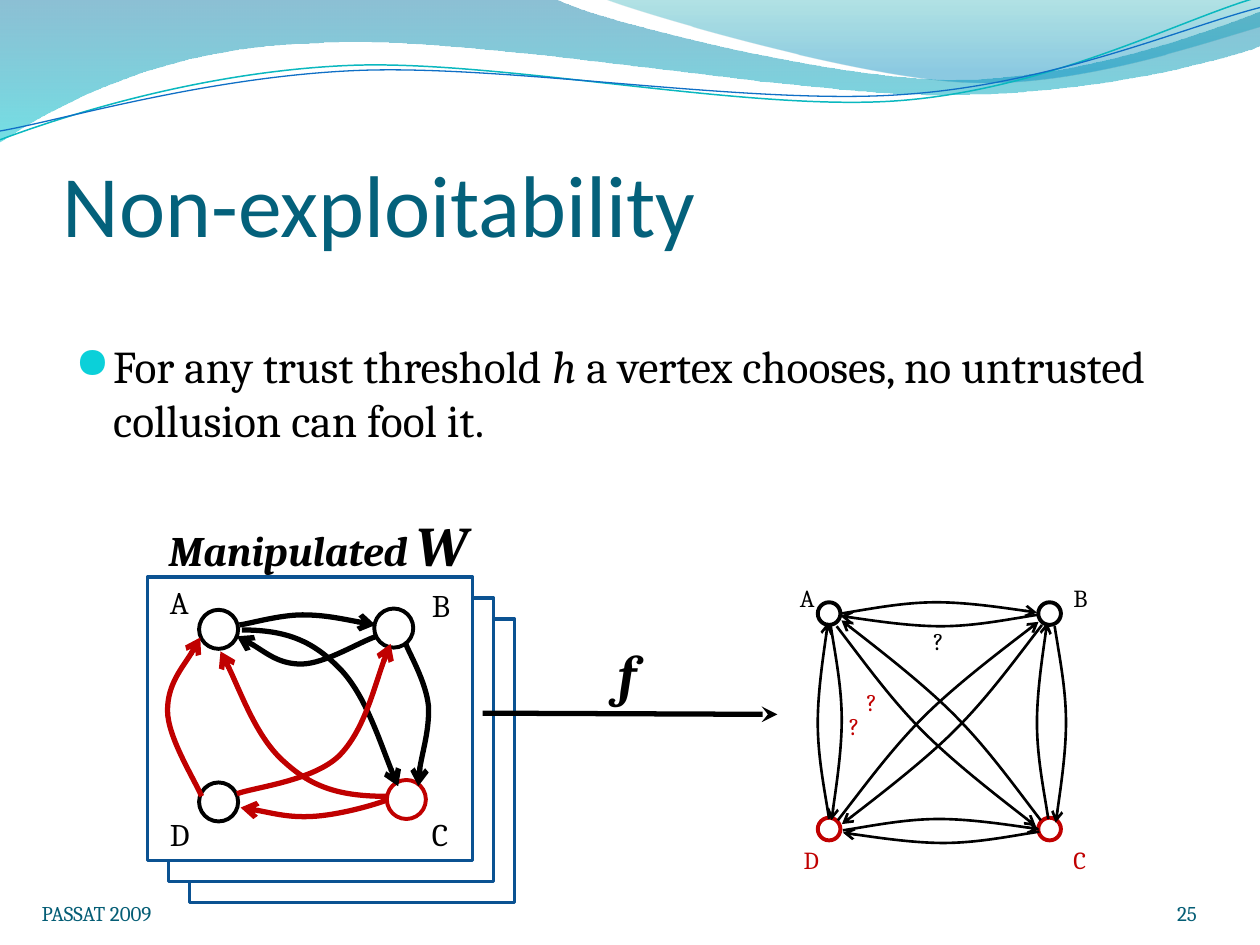
"""Build the slide on non-exploitability with its two trust graphs."""
from math import cos, radians, sin

from lxml.etree import SubElement
from pptx import Presentation
from pptx.dml.color import RGBColor
from pptx.enum.shapes import MSO_CONNECTOR, MSO_SHAPE
from pptx.enum.text import MSO_ANCHOR, PP_ALIGN
from pptx.oxml.ns import qn
from pptx.util import Inches, Pt

BLACK = RGBColor(0x00, 0x00, 0x00)
WHITE = RGBColor(0xFF, 0xFF, 0xFF)
RED = RGBColor(0xC0, 0x00, 0x00)
BLUE = RGBColor(0x0B, 0x52, 0x92)
TITLE = RGBColor(0x04, 0x61, 0x7B)
FOOT = RGBColor(0x04, 0x5D, 0x75)
BULLET = "0BD0D9"

WAVES = [
    ([(-0.01, -0.01), (4.4, -0.01), (4.76, 0.17), (6.64, 0.63), (7.58, 0.63),
      (8.53, 0.63), (9.58, 0.26), (10, 0.09), (10.01, 0.36), (9.83, 0.44),
      (8.7, 0.76), (7.46, 0.75), (6.22, 0.75), (3.82, 0.28), (2.57, 0.34),
      (1.29, 0.36), (0.46, 0.83), (-0.01, 1.13)], "LCCLCCC",
     [(0, RGBColor(0x00, 0x74, 0xA1), 45), (1, RGBColor(0x00, 0xC6, 0xCF), 55)]),
    ([(4.79, -0.01), (5.09, 0.11), (6.82, 0.62), (7.69, 0.65), (8.56, 0.69),
      (9.61, 0.32), (10, 0.21), (10, 0)], "CCL",
     [(0, RGBColor(0x00, 0xA1, 0xA9), 30), (0.8, RGBColor(0x00, 0x8B, 0xBF), 45)]),
]
STREAKS = [
    ([(0, 1.11), (0.48, 0.93), (1.58, 0.57), (2.77, 0.52), (3.95, 0.47),
      (5.93, 0.89), (7.13, 0.8), (8.33, 0.71), (9.38, 0.15), (9.98, -0.02)],
     RGBColor(0x0A, 0xB8, 0xBF), 0.85),
    ([(0, 1.04), (0.47, 0.96), (1.64, 0.61), (2.83, 0.56), (4.03, 0.51),
      (5.97, 0.84), (7.17, 0.75), (8.36, 0.67), (9.41, 0.21), (10, 0.06)],
     RGBColor(0x0F, 0x6F, 0xC6), 0.75),
]
EDGES = [
    ([(1.9, 4.96), (1.98, 4.95), (2.22, 4.88), (2.4, 4.88),
      (2.58, 4.88), (2.86, 4.94), (2.98, 4.96)], BLACK, "tail"),
    ([(1.88, 5.05), (1.97, 5.08), (2.21, 5.27), (2.39, 5.27),
      (2.58, 5.27), (2.86, 5.09), (2.99, 5.05)], BLACK, "head"),
    ([(1.91, 6.41), (2.01, 6.42), (2.29, 6.49), (2.48, 6.48),
      (2.67, 6.47), (2.94, 6.4), (3.07, 6.35)], RED, "head"),
    ([(1.75, 5.17), (1.86, 5.36), (2.04, 5.86), (2.26, 6.05),
      (2.48, 6.25), (2.7, 6.32), (3.07, 6.32)], RED, "head"),
    ([(3.16, 6.24), (3.06, 6.02), (2.89, 5.49), (2.68, 5.29),
      (2.47, 5.08), (2.26, 5), (1.92, 5)], BLACK, "head"),
    ([(1.59, 5.06), (1.55, 5.16), (1.33, 5.43), (1.33, 5.64),
      (1.33, 5.85), (1.54, 6.18), (1.6, 6.32)], RED, "head"),
    ([(3.22, 5.11), (3.25, 5.19), (3.38, 5.41), (3.4, 5.6),
      (3.41, 5.79), (3.31, 6.11), (3.32, 6.24)], BLACK, "tail"),
    ([(1.88, 6.3), (2.01, 6.25), (2.48, 6.2), (2.69, 6),
      (2.89, 5.8), (3.01, 5.3), (3.1, 5.11)], RED, "tail"),
]
ARC = [(0, 0), (0.16, -0.44), (0.32, -1), (0.49, -1), (0.65, -1), (1, -0.1), (1, -0.1)]
SIDES = [(6.67, 4.87, 0), (8.23, 4.88, 180), (6.69, 6.59, 0), (8.25, 6.6, 180),
         (8.32, 6.5, 270), (8.37, 4.97, 90), (6.58, 6.5, 270), (6.59, 4.95, 90)]
CROSS = [(6.65, 6.51, 315.6, 0.11), (8.27, 4.96, 135.4, 0.11),
         (8.26, 6.51, 224.8, -0.11), (6.64, 4.97, 44.8, -0.11)]


def stroke(shape, color, width):
    """Set the outline and drop the shadow."""
    shape.shadow.inherit = False
    shape.line.color.rgb = color
    shape.line.width = Pt(width)


def arrow(shape, end, kind="arrow"):
    """Add an arrowhead at the head or tail end."""
    line = shape._element.spPr.find(qn("a:ln"))
    SubElement(line, qn(f"a:{end}End"), type=kind)


def curve(shapes, points, kinds="CC", close=False):
    """Draw a freeform of line (L) and Bezier (C) parts."""
    spots = [(Inches(x), Inches(y)) for x, y in points]
    pen = shapes.build_freeform(*spots[0])
    pen.add_line_segments(spots[1:], close=close)
    shape = pen.convert_to_shape()
    parts = iter(list(shape._element.iter(qn("a:lnTo"))))
    for kind in kinds:
        part = next(parts)
        if kind == "C":
            part.tag = qn("a:cubicBezTo")
            for _ in range(2):
                extra = next(parts)
                part.append(extra[0])
                extra.getparent().remove(extra)
    shape.shadow.inherit = False
    shape.fill.background()
    return shape


def edge(shapes, points, color, width, end):
    """Draw a curved arrow."""
    shape = curve(shapes, points)
    stroke(shape, color, width)
    arrow(shape, end)


def arc(shapes, x, y, turn, size=1.56, bend=0.09):
    """Draw a thin bowed arrow from a point in a given direction."""
    c, s = cos(radians(turn)), sin(radians(turn))
    local = [(u * size, v * bend) for u, v in ARC]
    points = [(x + u * c - v * s, y + u * s + v * c) for u, v in local]
    edge(shapes, points, BLACK, 1.5, "tail")


def wave(shapes, points, kinds, stops):
    """Draw a clear gradient band."""
    shape = curve(shapes, points, kinds, close=True)
    shape.line.fill.background()
    shape.fill.gradient()
    shape.fill.gradient_angle = 270
    for stop, (place, color, alpha) in zip(shape.fill.gradient_stops, stops):
        stop.position = place
        stop.color.rgb = color
    for tint, (_, _, alpha) in zip(shape._element.iter(qn("a:srgbClr")), stops):
        SubElement(tint, qn("a:alpha"), val=str(alpha * 1000))


def solid(shapes, kind, x, y, w, h, color, width, fill=None):
    """Draw an outlined preset shape."""
    shape = shapes.add_shape(kind, Inches(x), Inches(y), Inches(w), Inches(h))
    stroke(shape, color, width)
    if fill is None:
        shape.fill.background()
    else:
        shape.fill.solid()
        shape.fill.fore_color.rgb = fill


def text(shapes, x, y, w, h, runs, color=BLACK, name="Cambria", **frame):
    """Add a text box whose runs are (words, format) pairs."""
    box = shapes.add_textbox(Inches(x), Inches(y), Inches(w), Inches(h)).text_frame
    for key, value in {"word_wrap": False, **frame}.items():
        setattr(box, key, value)
    para = box.paragraphs[0]
    for words, look in runs:
        run = para.add_run()
        run.text = words
        run.font.color.rgb = color
        for key, value in {"name": name, **look}.items():
            setattr(run.font, key, value)
    return para


def bullet(para):
    """Give a paragraph a round hanging bullet."""
    props = para._p.get_or_add_pPr()
    props.set("marL", str(Inches(0.3)))
    props.set("indent", str(Inches(-0.3)))
    SubElement(SubElement(props, qn("a:buClr")), qn("a:srgbClr"), val=BULLET)
    SubElement(props, qn("a:buSzPct"), val="95000")
    SubElement(props, qn("a:buChar"), char="●")


def words(shapes):
    """Add the title, body and footer."""
    flat = {"margin_left": 0, "margin_right": 0, "margin_bottom": 0,
            "vertical_anchor": MSO_ANCHOR.BOTTOM, "word_wrap": True}
    text(shapes, 0.5, 0.77, 9, 1.25, [("Non-exploitability", {"size": Pt(50)})],
         TITLE, "Calibri", **flat)
    size = {"size": Pt(26)}
    bullet(text(shapes, 0.5, 2.63, 9, 4.29, [
        ("For any trust threshold ", size), ("h ", {**size, "italic": True}),
        ("a vertex chooses, no untrusted collusion can fool it.", size)],
        word_wrap=True))
    small = {"size": Pt(12)}
    page = text(shapes, 8.67, 6.95, 0.83, 0.4, [("25", small)], FOOT, margin_top=0, **flat)
    page.alignment = PP_ALIGN.RIGHT
    text(shapes, 0.33, 7.08, 1.08, 0.27, [("PASSAT 2009", small)], FOOT, margin_top=0, **flat)


def sheets(shapes):
    """Draw the stacked sheets with the first graph and the mapping arrow."""
    for step in (2, 1, 0):
        solid(shapes, MSO_SHAPE.RECTANGLE, 1.17 + step / 6, 4.58 + step / 6,
              2.58, 2.25, BLUE, 2, WHITE)
    link = shapes.add_connector(MSO_CONNECTOR.STRAIGHT, Inches(3.83), Inches(5.66),
                                Inches(6.17), Inches(5.67))
    link.line.color.rgb = BLACK
    link.line.width = Pt(3)
    arrow(link, "tail", "stealth")
    SubElement(link._element.spPr, qn("a:effectLst"))
    for x, y, color in [(2.97, 4.83, BLACK), (1.58, 4.84, BLACK),
                        (3.07, 6.19, RED), (1.58, 6.21, BLACK)]:
        solid(shapes, MSO_SHAPE.OVAL, x, y, 0.31, 0.31, color, 2.25)
    for points, color, end in EDGES:
        edge(shapes, points, color, 3, end)
    for mark, x, y in [("A", 1.25, 4.58), ("D", 1.25, 6.42), ("C", 3.33, 6.42), ("B", 3.33, 4.6)]:
        text(shapes, x, y, 0.37, 0.4, [(mark, {"size": Pt(18)})])
    bold = {"bold": True, "italic": True}
    text(shapes, 1.24, 4, 2.82, 0.64, [("Manipulated ", {"size": Pt(24), **bold}),
                                       ("W", {"size": Pt(32), **bold})])
    text(shapes, 4.81, 5.03, 0.36, 0.64, [("f", {"size": Pt(32), **bold})])


def network(shapes):
    """Draw the resulting trust graph."""
    for y, color in [(6.49, RED), (4.78, BLACK)]:
        for x in (8.24, 6.49):
            solid(shapes, MSO_SHAPE.OVAL, x, y, 0.18, 0.18, color, 2.25)
    for x, y, turn in SIDES:
        arc(shapes, x, y, turn)
    for x, y, turn, bend in CROSS:
        arc(shapes, x, y, turn, 2.24, bend)
    for mark, x, y, w, color in [
            ("?", 7.31, 4.92, 0.29, BLACK), ("A", 6.25, 4.58, 0.34, BLACK),
            ("B", 8.42, 4.58, 0.32, BLACK), ("C", 8.42, 6.66, 0.33, RED),
            ("D", 6.28, 6.66, 0.35, RED), ("?", 6.78, 5.4, 0.29, RED),
            ("?", 6.64, 5.59, 0.29, RED)]:
        text(shapes, x, y, w, 0.34, [(mark, {"size": Pt(14)})], color)


def main():
    """Build and save the slide."""
    deck = Presentation()
    deck.slide_width, deck.slide_height = Inches(10), Inches(7.5)
    shapes = deck.slides.add_slide(deck.slide_layouts[6]).shapes
    for points, kinds, stops in WAVES:
        wave(shapes, points, kinds, stops)
    for points, color, width in STREAKS:
        stroke(curve(shapes, points, "CCC"), color, width)
    words(shapes)
    sheets(shapes)
    network(shapes.add_group_shape().shapes)
    deck.save("out.pptx")


if __name__ == "__main__":
    main()
